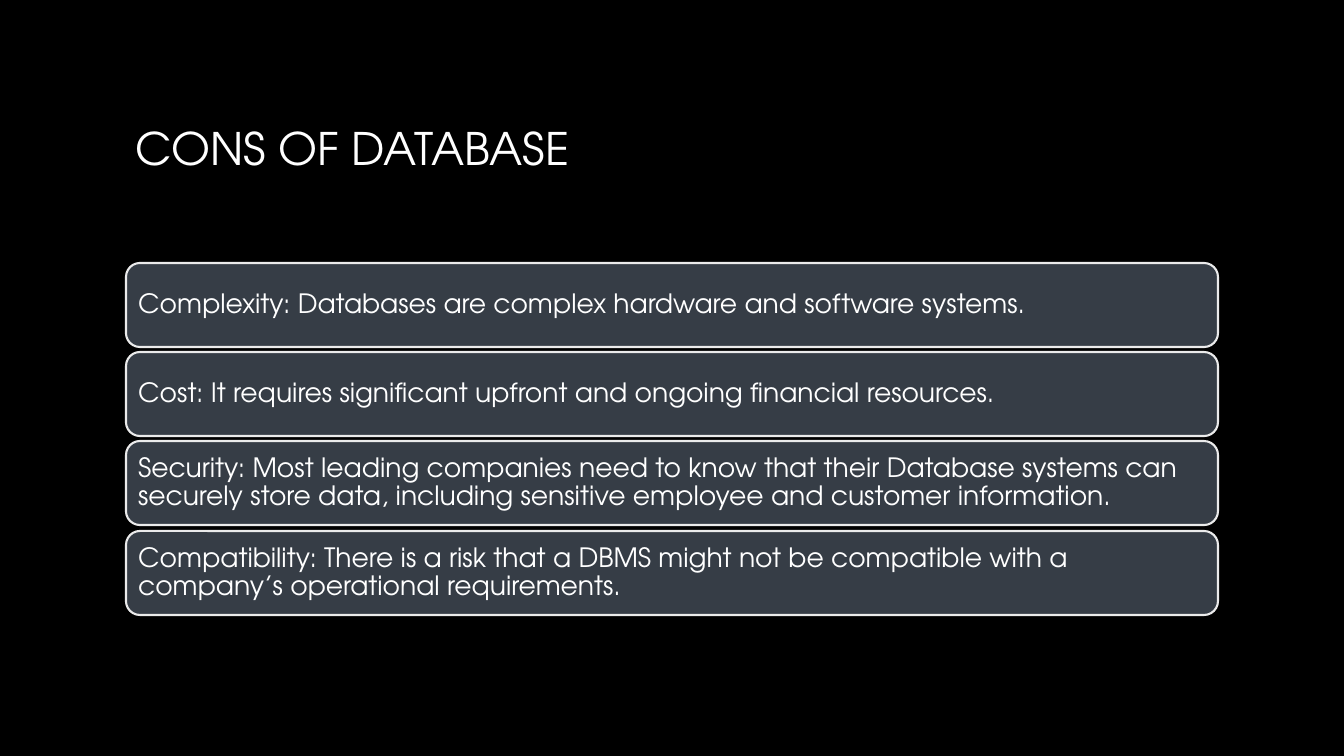
from pptx import Presentation
from pptx.dml.color import RGBColor
from pptx.enum.shapes import MSO_SHAPE
from pptx.enum.text import MSO_ANCHOR, PP_ALIGN
from pptx.util import Emu, Pt

COLOURS = {"background": "000000", "card": "363D46", "border": "EBEBEB", "text": "FFFFFF"}
FONT = "TeX Gyre Adventor"
EMU_PER_PX = 914400 / 100.8
DRAWBACKS = [
    "Complexity: Databases are complex hardware and software systems.",
    "Cost: It requires significant upfront and ongoing financial resources.",
    "Security: Most leading companies need to know that their Database systems can "
    "securely store data, including sensitive employee and customer information.",
    "Compatibility: There is a risk that a DBMS might not be compatible with a "
    "company’s operational requirements.",
]


def px(length):
    return Emu(round(length * EMU_PER_PX))


def colour(name):
    return RGBColor.from_string(COLOURS[name])


class SlideBuilder:
    """Draws styled elements on the current slide."""

    def __init__(self, slide):
        self.slide = slide
        slide.background.fill.solid()
        slide.background.fill.fore_color.rgb = colour("background")

    def add_wording(self, frame, wording, size, inset, line_spacing):
        frame.word_wrap = True
        frame.vertical_anchor = MSO_ANCHOR.MIDDLE
        frame.margin_left = frame.margin_right = px(inset)
        frame.margin_top = frame.margin_bottom = px(5)
        paragraph = frame.paragraphs[0]
        paragraph.alignment = PP_ALIGN.LEFT
        paragraph.line_spacing = line_spacing
        run = paragraph.add_run()
        run.text = wording
        run.font.name = FONT
        run.font.size = Pt(size)
        run.font.color.rgb = colour("text")

    def title(self, wording, *box):
        heading = self.slide.shapes.add_textbox(*map(px, box))
        self.add_wording(heading.text_frame, wording, 32, 10, 1.0)

    def card(self, wording, *box):
        card = self.slide.shapes.add_shape(MSO_SHAPE.ROUNDED_RECTANGLE, *map(px, box))
        card.shadow.inherit = False
        card.fill.solid()
        card.fill.fore_color.rgb = colour("card")
        card.line.color.rgb = colour("border")
        card.line.width = Pt(1.5)
        self.add_wording(card.text_frame, wording, 19, 8, 0.9)


def main():
    deck = Presentation()
    deck.slide_width, deck.slide_height = px(1344), px(756)
    builder = SlideBuilder(deck.slides.add_slide(deck.slide_layouts[6]))
    builder.title("CONS OF DATABASE", 126, 67, 1092, 162)
    for row, drawback in enumerate(DRAWBACKS):
        builder.card(drawback, 126, 263 + row * 268 // 3, 1092, 84)
    deck.save("out.pptx")


if __name__ == "__main__":
    main()
